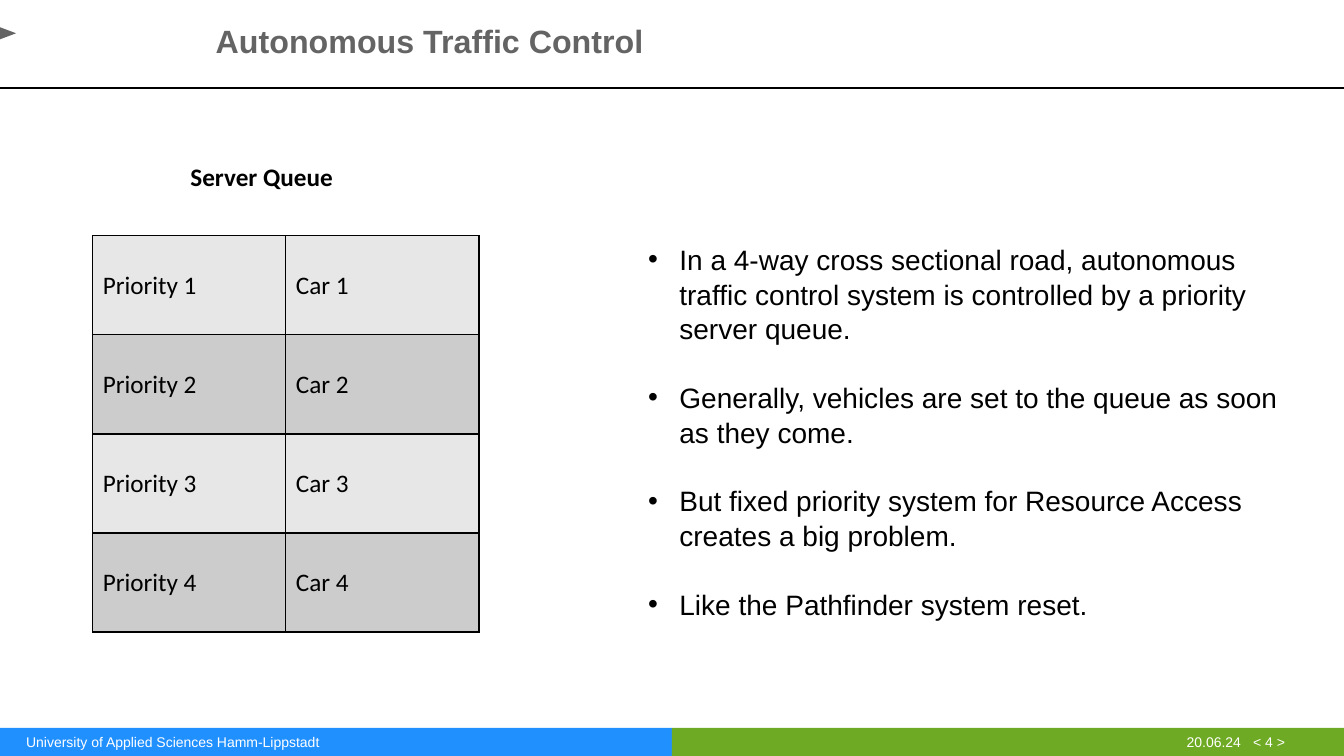
from dataclasses import dataclass

from lxml import etree
from pptx import Presentation
from pptx.dml.color import RGBColor
from pptx.enum.shapes import MSO_CONNECTOR, MSO_SHAPE
from pptx.enum.text import MSO_ANCHOR
from pptx.oxml.ns import qn
from pptx.util import Inches, Pt

RECTANGLE = MSO_SHAPE.RECTANGLE
STRAIGHT = MSO_CONNECTOR.STRAIGHT
MIDDLE = MSO_ANCHOR.MIDDLE


@dataclass(frozen=True)
class Theme:
    black: str = "000000"
    white: str = "FFFFFF"
    grey: str = "646464"
    blue: str = "2190FF"
    green: str = "6EAA23"
    bands: tuple = ("E7E7E7", "CCCCCC")
    sans: str = "Arial"
    table_font: str = "Calibri"
    title_size: int = 23
    body_size: int = 20
    table_size: int = 18
    footer_size: int = 10


THEME = Theme()
WIDTH, HEIGHT = 13.33, 7.5
TITLE = {"name": THEME.sans, "size": Pt(THEME.title_size), "bold": True, "color": THEME.grey}
BODY = {"name": THEME.sans, "size": Pt(THEME.body_size), "color": THEME.black}
FOOTER = {"name": THEME.sans, "size": Pt(THEME.footer_size), "color": THEME.white}
CELL = {"name": THEME.table_font, "size": Pt(THEME.table_size), "color": THEME.black}
CAPTION = {**CELL, "bold": True}

QUEUE = [(f"Priority {number}", f"Car {number}") for number in range(1, 5)]
POINTS = [
    "In a 4-way cross sectional road, autonomous traffic control system is controlled by a priority server queue.",
    "Generally, vehicles are set to the queue as soon as they come.",
    "But fixed priority system for Resource Access creates a big problem.",
    "Like the Pathfinder system reset.",
]


def inches(*lengths):
    return [Inches(length) for length in lengths]


def add_run(paragraph, text, font_format):
    run = paragraph.add_run()
    run.text = text
    for name, value in font_format.items():
        if name == "color":
            run.font.color.rgb = RGBColor.from_string(value)
        else:
            setattr(run.font, name, value)


def add_text_box(slide, box, insets=(0.1, 0.05)):
    frame = slide.shapes.add_textbox(*inches(*box)).text_frame
    horizontal, vertical = inches(*insets)
    frame_format = {
        "word_wrap": True,
        "margin_left": horizontal,
        "margin_right": horizontal,
        "margin_top": vertical,
        "margin_bottom": vertical,
    }
    for name, value in frame_format.items():
        setattr(frame, name, value)
    return frame


def fill_shape(shape, color):
    shape.shadow.inherit = False
    shape.fill.solid()
    shape.fill.fore_color.rgb = RGBColor.from_string(color)
    shape.line.fill.background()


def add_header(slide, box):
    left, top, width, height = box
    rule = slide.shapes.add_connector(
        STRAIGHT, *inches(left, top + height, left + width, top + height)
    )
    rule.line.color.rgb = RGBColor.from_string(THEME.black)
    rule.line.width = Pt(1.5)
    etree.SubElement(rule._element.spPr, qn("a:effectLst"))

    builder = slide.shapes.build_freeform(*inches(left, top + 0.27), scale=1.0)
    corners = [(left, top + 0.39), (left + 0.16, top + 0.33)]
    builder.add_line_segments([inches(*corner) for corner in corners], close=True)
    fill_shape(builder.convert_to_shape(), THEME.grey)

    frame = add_text_box(slide, (left + 2.14, top + 0.19, 5, 0.4), (0, 0.02))
    add_run(frame.paragraphs[0], "Autonomous Traffic Control", TITLE)


def add_footer(slide, box):
    left, top, width, height = box
    half = width / 2
    for index, color in enumerate((THEME.blue, THEME.green)):
        bar = slide.shapes.add_shape(
            RECTANGLE, *inches(left + index * half, top, half, height)
        )
        fill_shape(bar, color)

    school = add_text_box(slide, (left + 0.26, top + 0.06, 6.14, 0.17), (0, 0))
    add_run(school.paragraphs[0], "University of Applied Sciences Hamm-Lippstadt", FOOTER)

    date = add_text_box(slide, (left + 11.77, top + 0.06, 1.33, 0.17), (0, 0)).paragraphs[0]
    tabs = etree.SubElement(date._p.get_or_add_pPr(), qn("a:tabLst"))
    etree.SubElement(tabs, qn("a:tab"), pos=str(Inches(0.66)), algn="l")
    add_run(date, "20.06.24\t< 4 >", FOOTER)


def add_borders(cell):
    properties = cell._tc.get_or_add_tcPr()
    for side in ("lnL", "lnR", "lnT", "lnB"):
        line = etree.SubElement(properties, qn(f"a:{side}"), w=str(Pt(1)))
        solid = etree.SubElement(line, qn("a:solidFill"))
        etree.SubElement(solid, qn("a:srgbClr"), val=THEME.black)


def add_queue(slide, box):
    left, top, width, height = box
    caption = add_text_box(slide, (left + 0.87, top - 0.79, 2.08, 0.4))
    add_run(caption.paragraphs[0], "Server Queue", CAPTION)

    table = slide.shapes.add_table(len(QUEUE), len(QUEUE[0]), *inches(*box)).table
    table.first_row = False
    table.horz_banding = False
    for row, labels in enumerate(QUEUE):
        for column, label in enumerate(labels):
            cell = table.cell(row, column)
            add_borders(cell)
            cell.fill.solid()
            cell.fill.fore_color.rgb = RGBColor.from_string(THEME.bands[row % 2])
            cell.vertical_anchor = MIDDLE
            add_run(cell.text_frame.paragraphs[0], label, CELL)


def add_points(slide, box):
    frame = add_text_box(slide, box)
    for index, point in enumerate(POINTS):
        paragraph = frame.add_paragraph() if index else frame.paragraphs[0]
        paragraph.line_spacing = 1.04
        if index:
            paragraph.space_before = Pt(24)
        properties = paragraph._p.get_or_add_pPr()
        properties.set("marL", str(Inches(0.31)))
        properties.set("indent", str(Inches(-0.31)))
        etree.SubElement(properties, qn("a:buFont"), typeface=THEME.sans)
        etree.SubElement(properties, qn("a:buChar"), char="•")
        add_run(paragraph, point, BODY)


def main():
    presentation = Presentation()
    presentation.slide_width, presentation.slide_height = inches(WIDTH, HEIGHT)
    slide = presentation.slides.add_slide(presentation.slide_layouts[6])
    add_footer(slide, (0, 7.22, WIDTH, 0.28))
    add_header(slide, (0, 0, WIDTH, 0.87))
    add_queue(slide, (0.92, 2.34, 3.83, 3.93))
    add_points(slide, (6.33, 2.34, 6.62, 3.8))
    presentation.save("out.pptx")


if __name__ == "__main__":
    main()
